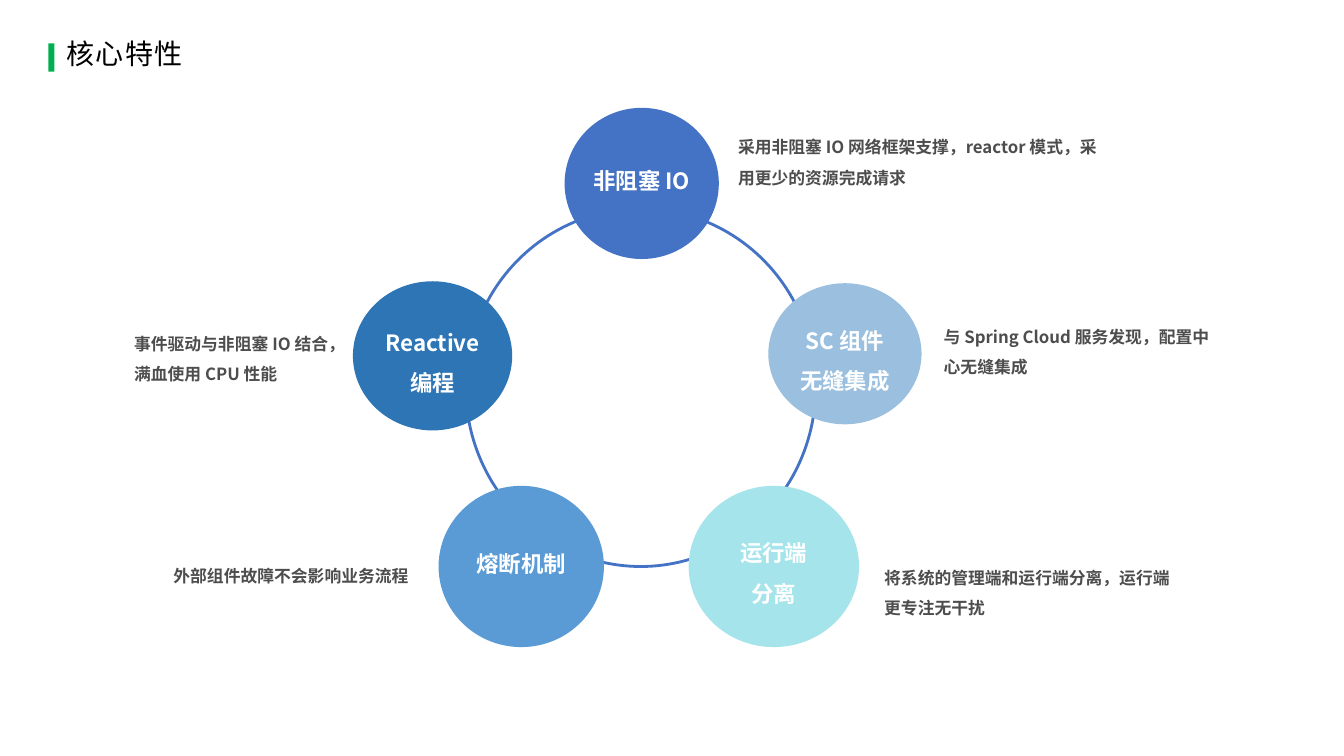
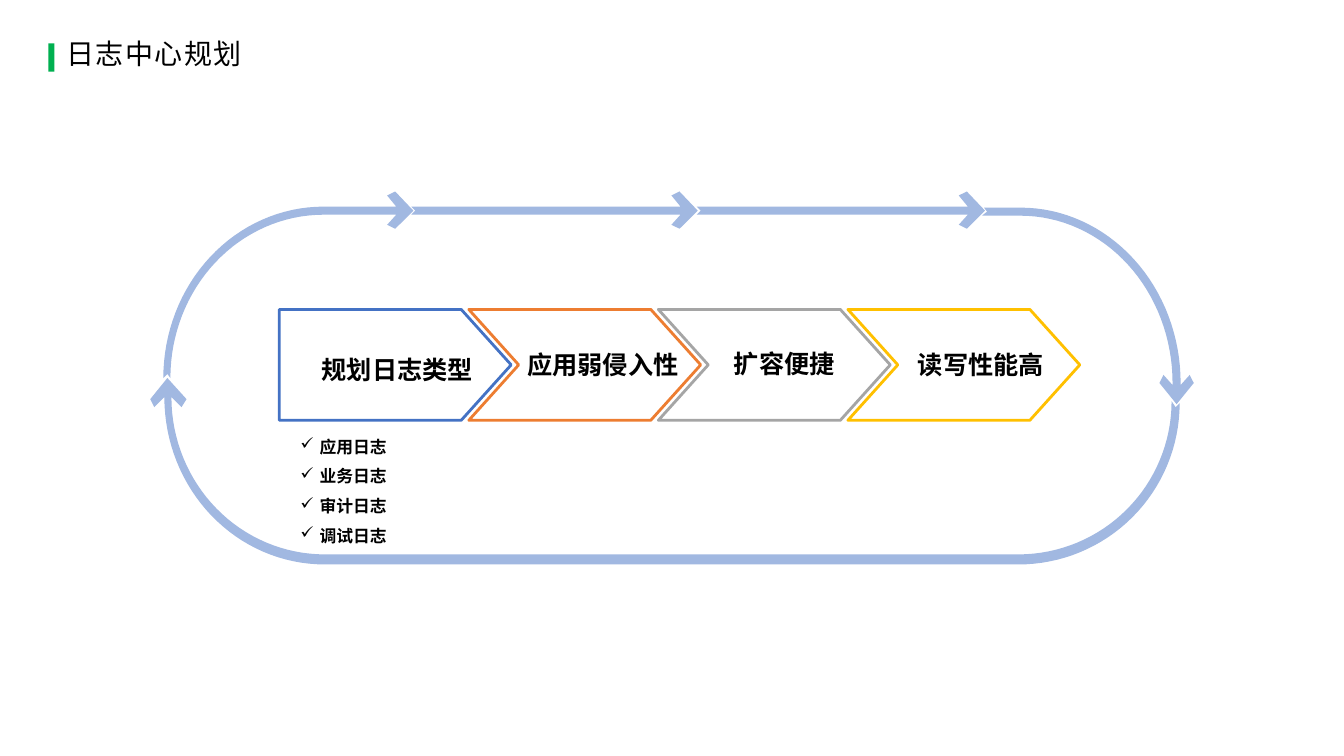
"""Build two slides: core features around a ring, and the log centre plan."""
import math

import pptx
import pptx.dml.color
import pptx.enum.shapes
import pptx.enum.text
import pptx.oxml
import pptx.oxml.ns
import pptx.util

Inches = pptx.util.Inches
Pt = pptx.util.Pt
SHAPE = pptx.enum.shapes.MSO_SHAPE
ALIGN = pptx.enum.text.PP_ALIGN
ANCHOR = pptx.enum.text.MSO_ANCHOR

FONT = "Noto Sans CJK SC"
COLORS = {
    "black": "000000", "white": "FFFFFF", "gray_text": "4D4D4D", "accent": "00B050",
    "blue": "4472C4", "pale_blue": "9BC0DF", "aqua": "A5E4EA", "sky": "5B9BD5",
    "deep_blue": "2E75B6", "orange": "ED7D31", "gray": "A5A5A5", "gold": "FFC000",
    "loop": "A1B8E1",
}

FEATURES = [
    ((5.6, 1.07, 1.53, 1.5), "blue", ["非阻塞 IO"], 0.8),
    ((7.62, 2.81, 1.52, 1.4), "pale_blue", ["SC 组件", "无缝集成"], 1.5),
    ((6.83, 4.82, 1.69, 1.6), "aqua", ["运行端", "分离"], 1.5),
    ((4.35, 4.82, 1.64, 1.6), "sky", ["熔断机制"], 0.8),
    ((3.5, 2.79, 1.58, 1.48), "deep_blue", ["Reactive 编程"], 1.5),
]
CAPTIONS = [
    ((1.33, 3.21, 1.97, 0.49), "事件驱动与非阻塞 IO 结合，满血使用 CPU 性能"),
    ((9.36, 3.14, 2.65, 0.46), "与 Spring Cloud 服务发现，配置中心无缝集成"),
    ((8.77, 5.53, 2.9, 0.41), "将系统的管理端和运行端分离，运行端更专注无干扰"),
    ((1.72, 5.51, 3.48, 0.16), "外部组件故障不会影响业务流程"),
    ((7.32, 1.26, 3.61, 0.46), "采用非阻塞 IO 网络框架支撑，reactor 模式，采用更少的资源完成请求"),
]
STAGES = [
    ("规划日志类型", "blue", 2.79, 3.5),
    ("应用弱侵入性", "orange", 4.83, 3.45),
    ("扩容便捷", "gray", 6.63, 3.44),
    ("读写性能高", "gold", 8.58, 3.45),
]
LOG_TYPES = ["应用日志", "业务日志", "审计日志", "调试日志"]


def rgb(name):
    """Return the colour stored under a name."""
    return pptx.dml.color.RGBColor.from_string(COLORS[name])


def set_frame(tf, inset, anchor):
    """Set wrapping, margins and anchor of a text frame."""
    tf.word_wrap = True
    tf.auto_size = pptx.enum.text.MSO_AUTO_SIZE.NONE
    tf.vertical_anchor = anchor
    tf.margin_left = tf.margin_right = tf.margin_top = tf.margin_bottom = Inches(inset)


def add_run(p, text, size, color, bold=True):
    """Add a formatted run to a paragraph."""
    r = p.add_run()
    r.text = text
    r.font.size = Pt(size)
    r.font.bold = bold
    r.font.name = FONT
    r.font.color.rgb = rgb(color)
    ea = pptx.oxml.ns.qn("a:ea")
    r.font._element.get_or_add_latin().addnext(
        r.font._element.makeelement(ea, {"typeface": FONT}))
    return r


def write(tf, lines, size, color, align=ALIGN.LEFT, spacing=1.0, before=0):
    """Write each line as one paragraph."""
    for i, line in enumerate(lines):
        p = tf.add_paragraph() if i else tf.paragraphs[0]
        p.alignment = align
        p.line_spacing = spacing
        p.space_before = Pt(before)
        add_run(p, line, size, color)


def add_text(s, box, lines, size, color, inset=0, anchor=ANCHOR.TOP, **layout):
    """Add a text box and return its text frame."""
    tf = s.shapes.add_textbox(*map(Inches, box)).text_frame
    set_frame(tf, inset, anchor)
    write(tf, lines, size, color, **layout)
    return tf


def paint(sp, fill=None, line=None):
    """Set fill and outline of a shape and drop its shadow."""
    sp.shadow.inherit = False
    if fill:
        sp.fill.solid()
        sp.fill.fore_color.rgb = rgb(fill)
    else:
        sp.fill.background()
    if line:
        sp.line.color.rgb = rgb(line)
        sp.line.width = Pt(2)
    else:
        sp.line.fill.background()


def add_shape(s, kind, box, fill=None, line=None):
    """Add a painted preset shape."""
    sp = s.shapes.add_shape(kind, *map(Inches, box))
    paint(sp, fill, line)
    return sp


def add_outline(s, points, fill):
    """Add a closed filled outline through points in inches."""
    points = [(Inches(x), Inches(y)) for x, y in points]
    builder = s.shapes.build_freeform(*points[0], scale=1.0)
    builder.add_line_segments(points[1:], close=True)
    paint(builder.convert_to_shape(), fill)


def arc(cx, cy, rx, ry, start, end, steps=32):
    """Return points on an ellipse between two angles, clockwise from the right."""
    angles = [math.radians(start + (end - start) * i / steps) for i in range(steps + 1)]
    return [(cx + rx * math.cos(a), cy + ry * math.sin(a)) for a in angles]


def arrow_head(tip):
    """Return the outline of a right-pointing head on the top bar."""
    return [(tip - 0.18, 1.9), (tip, 2.09), (tip - 0.18, 2.27),
            (tip - 0.26, 2.23), (tip - 0.17, 2.13)]


def add_bar_arrow(s, left, tip):
    """Add a straight arrow with a notched tail on the top bar."""
    add_outline(s, arrow_head(tip) + [
        (left, 2.13), (left + 0.04, 2.09), (left, 2.05),
        (tip - 0.17, 2.05), (tip - 0.26, 1.94)], "loop")


def add_loop(s):
    """Add the five arrows of the rounded loop."""
    add_outline(s, [(1.66, 3.75), (1.85, 3.96), (1.8, 4.04)]
                + arc(3.22, 3.94, 1.52, 1.56, 180, 90)
                + arc(10.1, 3.98, 1.52, 1.52, 90, 0)
                + [(11.66, 4.04)]
                + arc(10.1, 4, 1.6, 1.6, 0, 90)
                + arc(3.22, 3.94, 1.59, 1.66, 90, 180)
                + [(1.53, 4.04), (1.49, 3.96)], "loop")
    add_outline(s, [(11.5, 3.8), (11.67, 4.01), (11.84, 3.8), (11.8, 3.72), (11.71, 3.82)]
                + arc(10.12, 3.8, 1.59, 1.74, 0, -90)
                + [(9.76, 2.06), (9.79, 2.1), (9.74, 2.14)]
                + arc(10.12, 3.8, 1.51, 1.66, -90, 0)
                + [(11.63, 3.82), (11.54, 3.72)], "loop")
    add_bar_arrow(s, 6.91, 9.77)
    add_bar_arrow(s, 4.08, 6.92)
    add_outline(s, arrow_head(4.1)
                + arc(3.21, 3.75, 1.52, 1.62, -90, -180)
                + [(1.66, 3.71)]
                + arc(3.21, 3.75, 1.59, 1.7, -180, -90)
                + [(3.93, 2.05), (3.84, 1.94)], "loop")


def add_slide(prs, title):
    """Add a title-only slide with the green mark and its title."""
    s = prs.slides.add_slide(prs.slide_layouts[5])
    add_shape(s, SHAPE.RECTANGLE, (0.48, 0.43, 0.06, 0.28), "accent")
    sp = s.shapes.title
    sp.left, sp.top, sp.width, sp.height = map(Inches, (0.61, 0.22, 7.48, 0.66))
    set_frame(sp.text_frame, 0.05, ANCHOR.MIDDLE)
    p = sp.text_frame.paragraphs[0]
    p.alignment = ALIGN.LEFT
    p.line_spacing = 0.9
    r = add_run(p, title, 20, "black", bold=False)
    r.font._element.set("spc", "100")
    return s


def add_check_marks(tf):
    """Give every paragraph a hanging check mark."""
    for p in tf.paragraphs:
        pPr = p._p.get_or_add_pPr()
        pPr.set("marL", str(Inches(0.19)))
        pPr.set("indent", str(-Inches(0.19)))
        pPr.append(pPr.makeelement(pptx.oxml.ns.qn("a:buChar"), {"char": "✓"}))


def build_features(prs):
    """Build the ring of core features."""
    s = add_slide(prs, "核心特性")
    add_shape(s, SHAPE.OVAL, (4.62, 2.07, 3.47, 3.55), line="blue")
    for box, fill, lines, spacing in FEATURES:
        sp = add_shape(s, SHAPE.OVAL, box, fill)
        set_frame(sp.text_frame, 0.04, ANCHOR.MIDDLE)
        write(sp.text_frame, lines, 16, "white", ALIGN.CENTER, spacing)
    for box, text in CAPTIONS:
        add_text(s, box, [text], 12, "gray_text", spacing=1.5, before=4)


def build_log_plan(prs):
    """Build the log centre plan with its stages and loop."""
    s = add_slide(prs, "日志中心规划")
    add_loop(s)
    for i, (text, color, left, top) in enumerate(STAGES):
        kind = SHAPE.CHEVRON if i else SHAPE.PENTAGON
        sp = add_shape(s, kind, (2.77 + 1.88 * i, 3.07, 2.3, 1.1), line=color)
        sp.adjustments[0] = 0.45
        add_text(s, (left, top, 2.3, 0.33), [text], 18, "black", inset=0.04,
                 anchor=ANCHOR.MIDDLE, align=ALIGN.CENTER)
    tf = add_text(s, (2.98, 4.29, 1.53, 0.93), LOG_TYPES, 12, "black",
                  spacing=1.2, before=4)
    add_check_marks(tf)


def main():
    """Build and save the presentation."""
    prs = pptx.Presentation()
    prs.slide_width, prs.slide_height = Inches(13.33), Inches(7.5)
    build_features(prs)
    build_log_plan(prs)
    prs.save("out.pptx")


if __name__ == "__main__":
    main()
